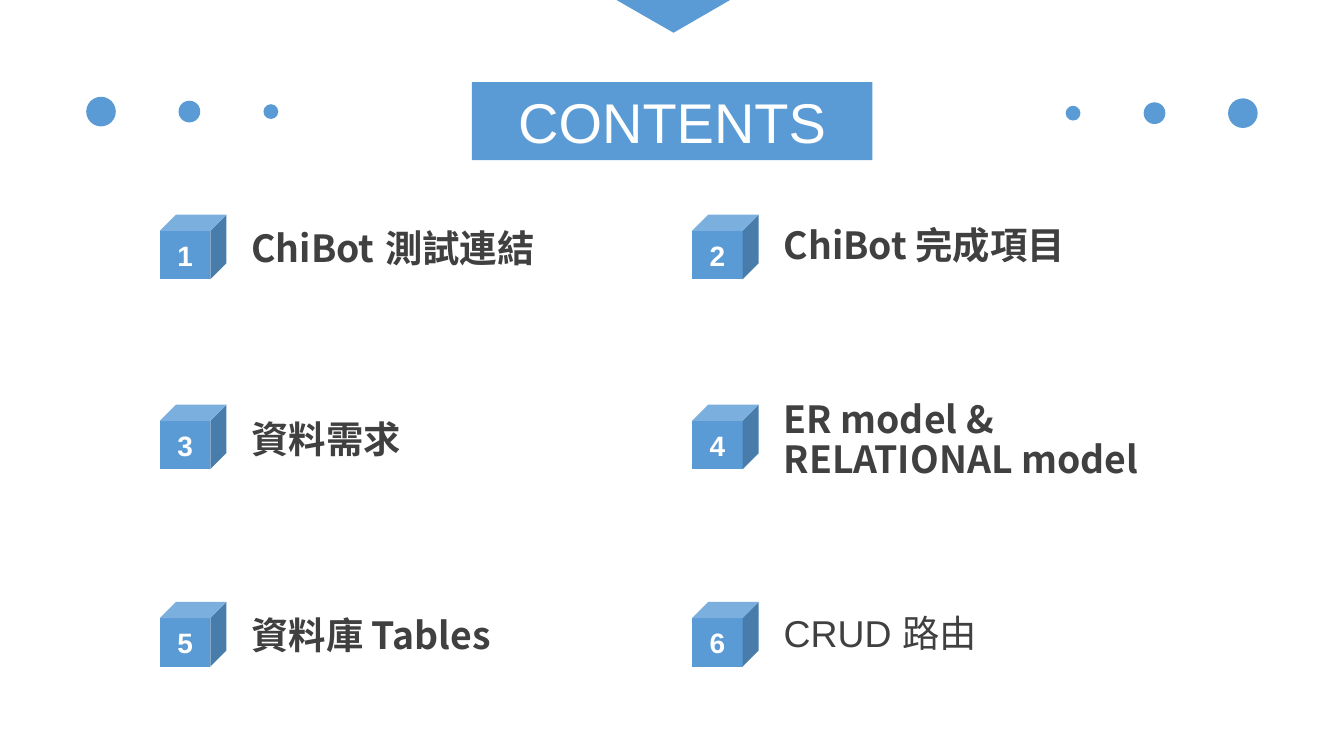
import lxml.etree
import pptx
import pptx.dml.color
import pptx.enum.shapes
import pptx.enum.text
import pptx.oxml
import pptx.oxml.ns
import pptx.util

Cm = pptx.util.Cm
SHAPE = pptx.enum.shapes.MSO_SHAPE
ALIGN = pptx.enum.text.PP_ALIGN
qn = pptx.oxml.ns.qn

SLIDE_W, SLIDE_H = 25.4, 14.29
BLUE, WHITE, GREY = "5B9BD5", "FFFFFF", "404040"
LATIN, CJK = "Arial", "Noto Sans CJK SC"

# Columns: cube left, text left, text width
COLUMNS = [(3.02, 4.75, 7.37), (13.08, 14.81, 8.1)]
ROWS = [4.06, 7.65, 11.38]
# Per item: text top, then its runs as (text, font, bold)
ITEMS = [
    (4.06, [("ChiBot", CJK, True), (" 測試連結", LATIN, True)]),
    (4.01, [("ChiBot 完成項目", CJK, True)]),
    (7.67, [("資料需求", LATIN, True)]),
    (7.67, [("ER model & \vRELATIONAL model", CJK, True)]),
    (11.38, [("資料庫 Tables", CJK, True)]),
    (11.33, [("CRUD 路由", LATIN, False)]),
]
# Dots left of the heading: centre, diameter
DOTS = [(1.91, 0.56), (3.58, 0.41), (5.12, 0.28)]


def rgb(value):
    return pptx.dml.color.RGBColor.from_string(value)


def set_all(obj, values):
    for name, value in values.items():
        setattr(obj, name, value)


def paint(sp, color=BLUE):
    sp.fill.solid()
    sp.fill.fore_color.rgb = rgb(color)
    sp.line.fill.background()
    sp.shadow.inherit = False


def format_run(r, size, color, name=LATIN, bold=False):
    set_all(r.font, {"size": pptx.util.Pt(size), "name": name, "bold": bold})
    r.font.color.rgb = rgb(color)
    lxml.etree.SubElement(r.font._element, qn("a:ea"), typeface=CJK)


def format_frame(tf, inset=0.0):
    set_all(tf, {
        "word_wrap": True,
        "auto_size": pptx.enum.text.MSO_AUTO_SIZE.NONE,
        "vertical_anchor": pptx.enum.text.MSO_ANCHOR.MIDDLE,
        "margin_left": Cm(inset), "margin_right": Cm(inset),
        "margin_top": 0, "margin_bottom": 0,
    })


def add_shape(s, kind, left, top, width, height):
    sp = s.shapes.add_shape(kind, Cm(left), Cm(top), Cm(width), Cm(height))
    paint(sp)
    return sp


def add_dots(s):
    """Two mirrored rows of dots that shrink towards the heading."""
    for x, d in DOTS:
        for centre, y in ((x, 2.11), (SLIDE_W - x, 2.14)):
            add_shape(s, SHAPE.OVAL, centre - d / 2, y - d / 2, d, d)


def add_top_arrow(s):
    builder = s.shapes.build_freeform(Cm(11.65), 0)
    builder.add_line_segments([(Cm(13.8), 0), (Cm(12.73), Cm(0.62))], close=True)
    paint(builder.convert_to_shape())


def add_title(s, text):
    """Title placeholder shaped as a fully rounded pill."""
    sp = s.shapes.title
    set_all(sp, {"left": Cm(8.92), "top": Cm(1.55),
                 "width": Cm(7.57), "height": Cm(1.48)})
    geom = lxml.etree.SubElement(sp._element.spPr, qn("a:prstGeom"), prst="roundRect")
    guides = lxml.etree.SubElement(geom, qn("a:avLst"))
    lxml.etree.SubElement(guides, qn("a:gd"), name="adj", fmla="val 50000")
    sp.fill.solid()
    sp.fill.fore_color.rgb = rgb(BLUE)
    format_frame(sp.text_frame, 0.25)
    p = sp.text_frame.paragraphs[0]
    p.text = text
    p.alignment = ALIGN.CENTER
    format_run(p.runs[0], 30, WHITE)


def add_number_cube(s, number, left, top):
    sp = add_shape(s, SHAPE.CUBE, left, top, 1.26, 1.22)
    sp.text_frame.vertical_anchor = pptx.enum.text.MSO_ANCHOR.MIDDLE
    p = sp.text_frame.paragraphs[0]
    p.text = str(number)
    p.alignment = ALIGN.CENTER
    format_run(p.runs[0], 15, WHITE, bold=True)


def add_item_text(s, runs, left, top, width):
    tf = s.shapes.add_textbox(Cm(left), Cm(top), Cm(width), Cm(1.35)).text_frame
    format_frame(tf)
    p = tf.paragraphs[0]
    p.line_spacing = 0.9
    for text, name, bold in runs:
        for i, line in enumerate(text.split("\v")):
            if i:
                p.add_line_break()
            r = p.add_run()
            r.text = line
            format_run(r, 20, GREY, name, bold)


def main():
    prs = pptx.Presentation()
    set_all(prs, {"slide_width": Cm(SLIDE_W), "slide_height": Cm(SLIDE_H)})
    s = prs.slides.add_slide(prs.slide_layouts.get_by_name("Title Only"))
    add_dots(s)
    add_top_arrow(s)
    add_title(s, "CONTENTS")
    for i, (text_top, runs) in enumerate(ITEMS):
        row, col = divmod(i, len(COLUMNS))
        cube_left, text_left, text_width = COLUMNS[col]
        add_number_cube(s, i + 1, cube_left, ROWS[row])
        add_item_text(s, runs, text_left, text_top, text_width)
    prs.save("out.pptx")


if __name__ == "__main__":
    main()
